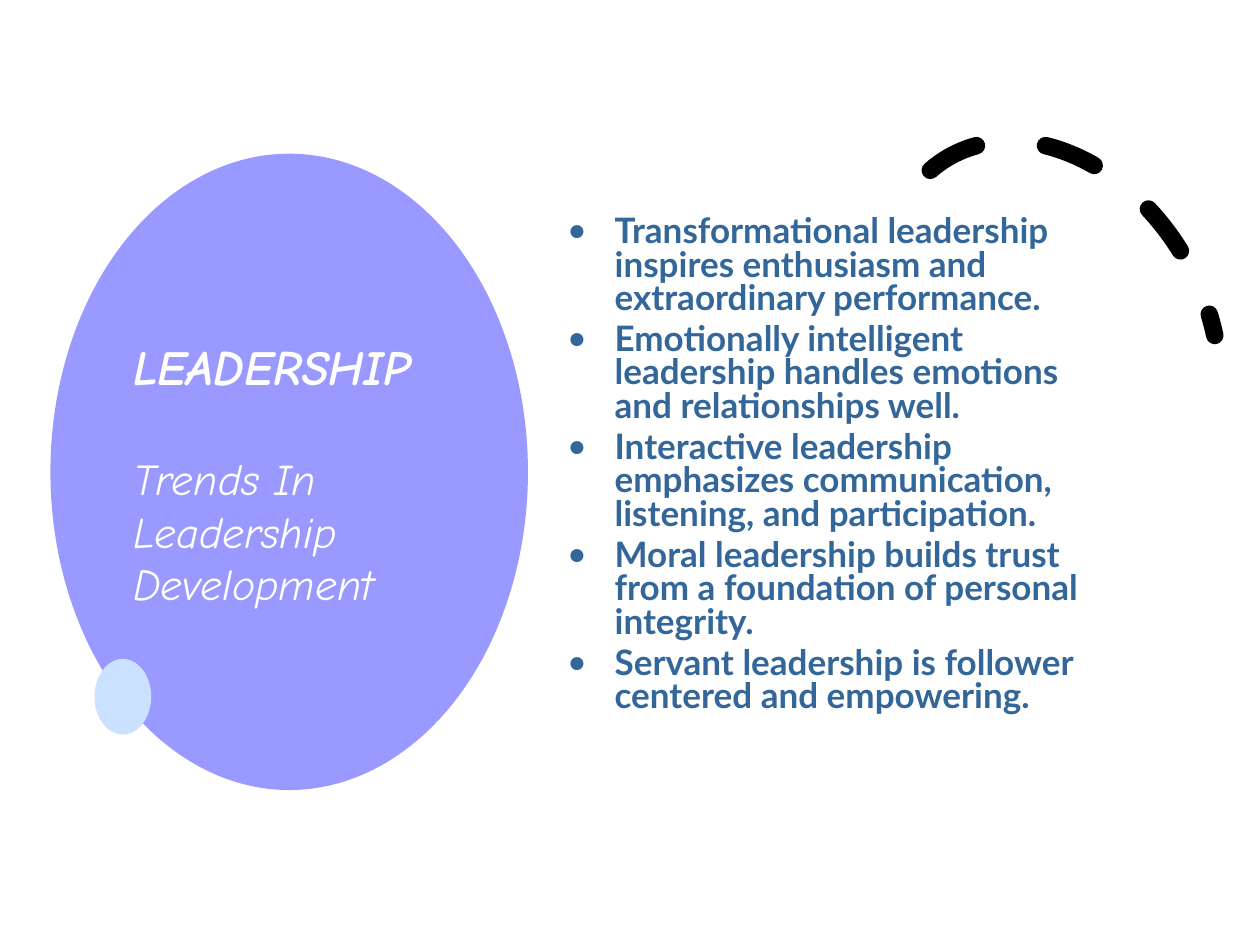
from pptx import Presentation
from pptx import util as u
from pptx.dml.color import RGBColor
from pptx.enum import dml, shapes, text
from pptx.oxml.ns import qn
from lxml import etree

COLORS = {"violet": "9999FF", "sky": "CAE2FF", "navy": "336699",
          "white": "FFFFFF", "black": "000000"}

POINTS = [
    "Transformational leadership inspires enthusiasm and extraordinary performance.",
    "Emotionally intelligent leadership handles emotions and relationships well.",
    "Interactive leadership emphasizes communication, listening, and participation.",
    "Moral leadership builds trust from a foundation of personal integrity.",
    "Servant leadership is follower centered and empowering.",
]


class Deck:
    head = "Comic Neue"
    body = "Lato"

    def __init__(self, slide):
        self.slide = slide

    def color(self, name):
        return RGBColor.from_string(COLORS[name])

    def shape(self, kind, box):
        item = self.slide.shapes.add_shape(kind, *map(u.Inches, box))
        item.shadow.inherit = False
        return item

    def oval(self, box, fill):
        item = self.shape(shapes.MSO_SHAPE.OVAL, box)
        item.fill.solid()
        item.fill.fore_color.rgb = self.color(fill)
        item.line.fill.background()

    def arc(self, box, turn, ends, width):
        item = self.shape(shapes.MSO_SHAPE.ARC, box)
        item.rotation = turn
        for i, end in enumerate(ends):
            item.adjustments[i] = end
        item.fill.background()
        item.line.color.rgb = self.color("black")
        item.line.width = u.Pt(width)
        item.line.dash_style = dml.MSO_LINE.DASH
        item.line._ln.set("cap", "rnd")

    def frame(self, box, anchor):
        frame = self.slide.shapes.add_textbox(*map(u.Inches, box)).text_frame
        frame.word_wrap = True
        frame.vertical_anchor = anchor
        return frame

    def font(self, para, name, size, color, bold, italic=False):
        font = para.font
        font.name, font.size = name, u.Pt(size)
        font.bold, font.italic = bold, italic
        font.color.rgb = self.color(color)

    def title(self, box, top, sub):
        frame = self.frame(box, text.MSO_ANCHOR.MIDDLE)
        first = frame.paragraphs[0]
        first.text = top
        self.font(first, self.head, 28, "white", True, True)
        last = frame.add_paragraph()
        last.text = sub
        last.space_before = u.Pt(32)
        self.font(last, self.head, 25, "white", False, True)

    def bullets(self, box, items):
        frame = self.frame(box, text.MSO_ANCHOR.TOP)
        for i, item in enumerate(items):
            para = frame.add_paragraph() if i else frame.paragraphs[0]
            para.text = item
            para.line_spacing = 0.8
            if i:
                para.space_before = u.Pt(4)
            props = para._p.get_or_add_pPr()
            props.set("marL", str(u.Inches(0.38)))
            props.set("indent", str(-u.Inches(0.38)))
            etree.SubElement(props, qn("a:buFont"), typeface=self.body)
            etree.SubElement(props, qn("a:buChar"), char="•")
            self.font(para, self.body, 20, "navy", True)


def main():
    show = Presentation()
    show.slide_width, show.slide_height = u.Inches(10), u.Inches(7.5)
    deck = Deck(show.slides.add_slide(show.slide_layouts[6]))
    deck.oval((0.4, 1.22, 3.79, 5.05), "violet")
    deck.title((0.96, 1.53, 2.87, 4.45), "LEADERSHIP",
               "Trends In Leadership Development")
    deck.arc((7.12, 1.03, 2.45, 3.27), 330.2, (158.17, 17.81), 10)
    deck.oval((0.75, 5.23, 0.45, 0.6), "sky")
    deck.bullets((4.4, 1.67, 4.54, 4.3), POINTS)
    show.save("out.pptx")


if __name__ == "__main__":
    main()
